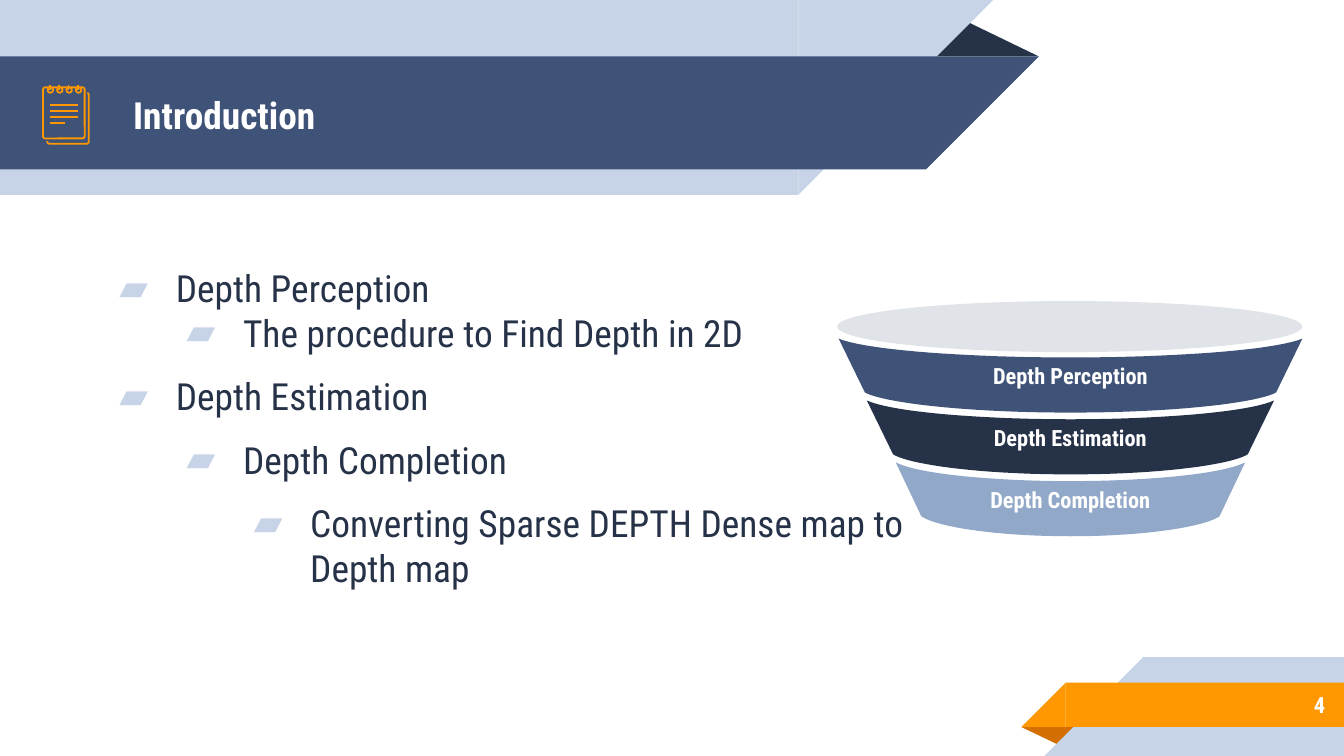
from dataclasses import dataclass

from lxml import etree
from pptx import Presentation
from pptx import util as u
from pptx.dml.color import RGBColor
from pptx.enum import shapes as es, text as et
from pptx.oxml import ns

COLS, ROWS = 100, 56.25
CELL = u.Inches(0.1)
FONT = "Roboto Condensed"
NAVY = RGBColor(0x3F, 0x53, 0x78)
DARK = RGBColor(0x26, 0x32, 0x48)
PALE = RGBColor(0xC7, 0xD3, 0xE6)
STEEL = RGBColor(0x92, 0xA8, 0xC8)
GREY = RGBColor(0xE0, 0xE4, 0xE9)
GOLD = RGBColor(0xFF, 0x98, 0x00)
RUST = RGBColor(0xD2, 0x6F, 0x00)
WHITE = RGBColor(0xFF, 0xFF, 0xFF)
KIND = es.MSO_SHAPE
ALIGN = et.PP_ALIGN


@dataclass
class Part:
    kind: KIND
    col: float
    row: float
    wide: float
    high: float
    fill: RGBColor
    turn: int = 0
    peak: float | None = None


@dataclass
class Band:
    name: str
    row: float
    top: float
    base: float
    fill: RGBColor


@dataclass
class Item:
    text: str
    level: int
    space: int


BANNER = [
    Part(KIND.ISOSCELES_TRIANGLE, 68.8, 1.4, 8.5, 2.8, DARK, peak=0.32),
    Part(KIND.RECTANGLE, 0, 0, 59.4, 14.5, PALE),
    Part(KIND.RIGHT_TRIANGLE, 59.4, 0, 14.5, 14.5, PALE, 90),
    Part(KIND.RECTANGLE, 0, 4.2, 68.9, 8.4, NAVY),
    Part(KIND.RIGHT_TRIANGLE, 68.9, 4.2, 8.4, 8.4, NAVY, 90),
]
FOOTER = [
    Part(KIND.ISOSCELES_TRIANGLE, 76, 54.1, 4.3, 1.4, RUST, 180, 0.32),
    Part(KIND.RECTANGLE, 85, 48.9, 15, 7.35, PALE),
    Part(KIND.RIGHT_TRIANGLE, 77.7, 48.9, 7.35, 7.35, PALE, 270),
    Part(KIND.RECTANGLE, 79.3, 50.8, 20.7, 3.3, GOLD),
    Part(KIND.RIGHT_TRIANGLE, 76, 50.8, 3.3, 3.3, GOLD, 270),
]
ITEMS = [
    Item("Depth Perception", 0, 0),
    Item("The procedure to Find Depth in 2D", 1, 0),
    Item("Depth Estimation", 0, 10),
    Item("Depth Completion", 1, 10),
    Item("Converting Sparse DEPTH Dense map to Depth map", 2, 10),
]
MID = 79.65
BANDS = [
    Band("Depth Perception", 25.2, 17.25, 15.3, NAVY),
    Band("Depth Estimation", 29.8, 15.15, 13.2, DARK),
    Band("Depth Completion", 34.4, 13, 11.1, STEEL),
]


def size(cells: float) -> int:
    return round(cells * CELL)


def box(*cells: float) -> list[int]:
    return [size(c) for c in cells]


def paint(shape, fill: RGBColor | None, line: RGBColor | None = None) -> None:
    shape.shadow.inherit = False
    if fill is None:
        shape.fill.background()
    else:
        shape.fill.solid()
        shape.fill.fore_color.rgb = fill
    if line is None:
        shape.line.fill.background()
    else:
        shape.line.color.rgb = line
        shape.line.width = u.Pt(0.96)


def draw(slide, part: Part, line: RGBColor | None = None) -> None:
    shape = slide.shapes.add_shape(
        part.kind, *box(part.col, part.row, part.wide, part.high))
    shape.rotation = part.turn
    if part.peak is not None:
        shape.adjustments[0] = part.peak
    paint(shape, None if line else part.fill, line)


def style(para, points: float, color: RGBColor, bold: bool, align=ALIGN.LEFT) -> None:
    para.alignment = align
    for run in para.runs:
        run.font.name, run.font.size = FONT, u.Pt(points)
        run.font.bold, run.font.color.rgb = bold, color


def frame(shape, side: float = 1, edge: float = 1):
    body = shape.text_frame
    body.word_wrap = True
    body.auto_size = et.MSO_AUTO_SIZE.NONE
    body.vertical_anchor = et.MSO_ANCHOR.MIDDLE
    body.margin_left = body.margin_right = size(side)
    body.margin_top = body.margin_bottom = size(edge)
    return body


def trace(slide, points: list[tuple[float, float]], close: bool):
    first, *rest = [tuple(box(*p)) for p in points]
    pen = slide.shapes.build_freeform(*first, scale=1.0)
    pen.add_line_segments(rest, close=close)
    return pen.convert_to_shape()


def stroke(slide, *ends: float) -> None:
    line = slide.shapes.add_connector(es.MSO_CONNECTOR.STRAIGHT, *box(*ends))
    line.line.color.rgb = GOLD
    line.line.width = u.Pt(0.96)
    etree.SubElement(line.element.spPr, ns.qn("a:effectLst"))


def icon(slide) -> None:
    back = trace(slide, [(3.5, 10.5), (3.55, 10.65), (3.7, 10.7), (6.5, 10.7),
                         (6.6, 10.6), (6.6, 7), (6.5, 6.9)], False)
    paint(back, None, GOLD)
    draw(slide, Part(KIND.ROUNDED_RECTANGLE, 3.2, 6.5, 3.1, 3.8, GOLD, peak=0.05), GOLD)
    for n in range(4):
        col = 3.7 + 0.7 * n
        draw(slide, Part(KIND.OVAL, col - 0.15, 6.5, 0.4, 0.4, GOLD), GOLD)
        stroke(slide, col, 6.3, col, 6.7)
        row = 7.8 + 0.45 * n
        stroke(slide, 3.7, row, 4.8 if n == 3 else 5.8, row)


def arc(half: float, row: float, sag: float, near: float, far: float,
        lift: float) -> list[tuple[float, float]]:
    steps = 20
    side = []
    for n in range(steps + 1):
        t = n / steps
        s = 1 - t
        x = half * (3 * s * s * t * near + 3 * s * t * t * far + t ** 3)
        y = sag * (s ** 3 + 3 * s * s * t + 3 * s * t * t * lift)
        side.append((x, row + y))
    left = [(MID - x, y) for x, y in reversed(side)]
    return left + [(MID + x, y) for x, y in side[1:]]


def funnel(slide) -> None:
    for band in BANDS:
        rim = arc(band.top, band.row, 1.4, 0.42, 0.87, 0.64)
        foot = arc(band.base, band.row + 4, 1.5, 0.54, 0.92, 0.47)
        shape = trace(slide, rim + foot[::-1], True)
        paint(shape, band.fill)
        body = frame(shape, 0.7, 0.4)
        body.text = band.name
        style(body.paragraphs[0], 12, WHITE, True, ALIGN.CENTER)
    draw(slide, Part(KIND.OVAL, 62.3, 22.4, 34.6, 3.8, GREY))


def bullet(para, item: Item) -> None:
    para.level = item.level
    para.space_before = u.Pt(item.space)
    prop = para._p.get_or_add_pPr()
    prop.set("marL", str(size(5 * (item.level + 1))))
    prop.set("indent", str(size(-4.2)))
    tint = etree.SubElement(prop, ns.qn("a:buClr"))
    etree.SubElement(tint, ns.qn("a:srgbClr"), val=str(PALE))
    etree.SubElement(prop, ns.qn("a:buFont"), typeface=FONT)
    etree.SubElement(prop, ns.qn("a:buChar"), char="▰")


def outline(slide) -> None:
    body = frame(slide.shapes.add_textbox(*box(7.1, 14.6, 67.1, 34.4)))
    for n, item in enumerate(ITEMS):
        para = body.add_paragraph() if n else body.paragraphs[0]
        para.text = item.text
        style(para, 20, DARK, False)
        bullet(para, item)


def main() -> None:
    deck = Presentation()
    deck.slide_width, deck.slide_height = box(COLS, ROWS)
    slide = deck.slides.add_slide(deck.slide_layouts[5])
    for part in BANNER + FOOTER:
        draw(slide, part)

    title = slide.shapes.title
    title.left, title.top, title.width, title.height = box(8.9, 4.3, 57.5, 8.4)
    slide.shapes.element.append(title.element)
    head = frame(title)
    head.text = "Introduction"
    style(head.paragraphs[0], 20, WHITE, True)

    page = frame(slide.shapes.add_textbox(*box(83.3, 50.7, 16.3, 3.5)))
    page.text = "4"
    style(page.paragraphs[0], 12, WHITE, True, ALIGN.RIGHT)

    icon(slide)
    outline(slide)
    funnel(slide)
    deck.save("out.pptx")


if __name__ == "__main__":
    main()
